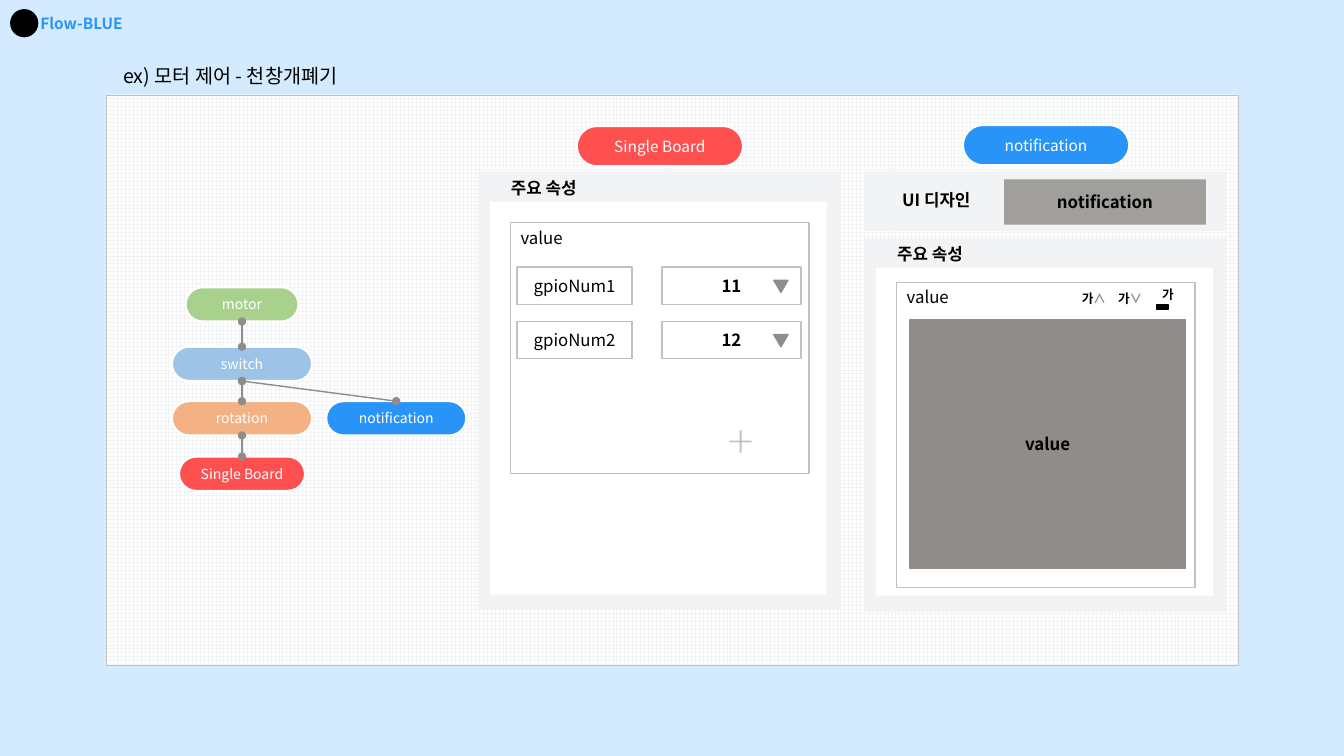
from lxml import etree
from pptx import Presentation
from pptx.dml.color import RGBColor
from pptx.enum.dml import MSO_PATTERN
from pptx.enum.shapes import MSO_CONNECTOR, MSO_SHAPE
from pptx.enum.text import MSO_ANCHOR, MSO_AUTO_SIZE, PP_ALIGN
from pptx.oxml.ns import qn
from pptx.util import Inches, Pt

RECT, PILL, OVAL = MSO_SHAPE.RECTANGLE, MSO_SHAPE.ROUNDED_RECTANGLE, MSO_SHAPE.OVAL
PLUS, TRIANGLE = MSO_SHAPE.CROSS, MSO_SHAPE.ISOSCELES_TRIANGLE
GRID = MSO_PATTERN.LARGE_GRID
STRAIGHT = MSO_CONNECTOR.STRAIGHT
LEFT, CENTER = PP_ALIGN.LEFT, PP_ALIGN.CENTER
TOP, MIDDLE = MSO_ANCHOR.TOP, MSO_ANCHOR.MIDDLE
NO_AUTOSIZE = MSO_AUTO_SIZE.NONE
BOTTOM_SITE, TOP_SITE = 2, 0

FONT = "Noto Sans CJK KR"
BLACK, WHITE, BLUE, RED = "000000", "FFFFFF", "2994F8", "FF5050"
PALE_BLUE, PANEL_GRAY, BORDER, GRAY = "D4EAFE", "F1F3F4", "C1C1C1", "8F8C8A"
LIGHT_GRAY = "A19F9C"
GREEN, SKY, ORANGE = "A9D18E", "9DC3E6", "F4B183"

# The slide is a grid of 1333 columns and 750 rows; boxes are (column, row, columns, rows)
CELL = Inches(0.01)
COLUMNS, ROWS = 1333, 750


def color(hex_string):
    return RGBColor.from_string(hex_string)


def on_slide(box):
    return [round(length * CELL) for length in box]


def inside(box, column, row, columns, rows):
    return box[0] + column, box[1] + row, columns, rows


def write(frame, text, size, ink=BLACK, bold=False, align=CENTER, anchor=MIDDLE, wrap=True):
    """Fill a text frame; text is a string or a list of (string, colour)."""
    frame.word_wrap = wrap
    frame.auto_size = NO_AUTOSIZE
    frame.vertical_anchor = anchor
    paragraph = frame.paragraphs[0]
    paragraph.alignment = align
    font = paragraph.font
    font.name, font.size, font.bold = FONT, Pt(size), bold
    font.color.rgb = color(ink)
    defaults = paragraph._p.pPr.find(qn("a:defRPr"))
    etree.SubElement(defaults, qn("a:ea")).set("typeface", FONT)
    for part, part_ink in [(text, None)] if isinstance(text, str) else text:
        run = paragraph.add_run()
        run.text = part
        if part_ink:
            run.font.color.rgb = color(part_ink)


def add_block(slide, box, fill, border=None, width=1, kind=RECT):
    block = slide.shapes.add_shape(kind, *on_slide(box))
    block.shadow.inherit = False
    block.fill.solid()
    block.fill.fore_color.rgb = color(fill)
    if border:
        block.line.color.rgb = color(border)
        block.line.width = Pt(width)
    else:
        block.line.fill.background()
    return block


def add_pill(slide, box, text, fill, size):
    pill = add_block(slide, box, fill, WHITE, 1.5, PILL)
    pill.adjustments[0] = 0.5
    write(pill.text_frame, text, size, WHITE)
    return pill


def add_label(slide, box, text, size=12, **style):
    label = slide.shapes.add_textbox(*on_slide(box))
    write(label.text_frame, text, size, **{"anchor": TOP, "bold": True, "wrap": False, **style})
    return label


def link(slide, upper, lower):
    """Join two pills with a line that ends in dots."""
    line = slide.shapes.add_connector(STRAIGHT, 0, 0, 0, 0)
    line.begin_connect(upper, BOTTOM_SITE)
    line.end_connect(lower, TOP_SITE)
    line.line.color.rgb = color(GRAY)
    line.line.width = Pt(1)
    outline = line.line._get_or_add_ln()
    for end in ("a:headEnd", "a:tailEnd"):
        etree.SubElement(outline, qn(end)).set("type", "oval")
    etree.SubElement(line._element.spPr, qn("a:effectLst"))


def build_header(slide, box):
    # Plain badge and product name
    add_block(slide, inside(box, 0, 0, 28, 28), BLACK, kind=OVAL)
    name = add_label(slide, inside(box, 30, 0, 120, 28), "Flow-BLUE", 11,
                     ink=BLUE, align=LEFT, anchor=MIDDLE)
    name.text_frame.margin_left = 0


def build_title(slide, box):
    title = slide.shapes.title
    title.left, title.top, title.width, title.height = on_slide(box)
    write(title.text_frame, "ex) 모터 제어 - 천창개폐기", 14,
          align=LEFT, anchor=TOP, wrap=False)


def build_canvas(slide, box):
    canvas = add_block(slide, box, WHITE, BORDER, 0.25)
    canvas.fill.patterned()
    canvas.fill.pattern = GRID
    canvas.fill.fore_color.rgb = color(PANEL_GRAY)
    canvas.fill.back_color.rgb = color(WHITE)


def build_flow(slide, box):
    # Nodes: text, fill, centre column, row, columns
    nodes = [("motor", GREEN, 70, 0, 112), ("switch", SKY, 70, 59, 139),
             ("rotation", ORANGE, 70, 113, 139), ("Single Board", RED, 70, 168, 125),
             ("notification", BLUE, 223, 113, 139)]
    motor, switch, rotation, board, notification = [
        add_pill(slide, inside(box, center - columns / 2, row, columns, 34), text, fill, 10)
        for text, fill, center, row, columns in nodes]
    for upper, lower in [(motor, switch), (switch, rotation),
                         (rotation, board), (switch, notification)]:
        link(slide, upper, lower)


def build_properties(slide, box, card_rows, frame_row, frame_rows):
    """Grey panel with its heading, white card and value frame; returns the frame's box."""
    add_block(slide, box, PANEL_GRAY)
    add_label(slide, inside(box, 23, 1, 93, 33), "주요 속성", align=LEFT)
    add_block(slide, inside(box, 12, 30, 334, card_rows), WHITE)
    frame_box = inside(box, 32.5, frame_row, 296, frame_rows)
    frame = add_block(slide, frame_box, WHITE, BORDER)
    write(frame.text_frame, "value", 12, align=LEFT, anchor=TOP)
    return frame_box


def build_board(slide, box):
    add_pill(slide, inside(box, 98, 0, 165, 40), "Single Board", RED, 11)
    frame = build_properties(slide, inside(box, 0, 45, 360, 435), 390, 51, 249)
    # One row for each pin
    for index, (pin, number) in enumerate([("gpioNum1", "11"), ("gpioNum2", "12")]):
        row = 44 + 54 * index
        pin_cell = add_block(slide, inside(frame, 6.5, row, 114, 37), WHITE, BORDER)
        write(pin_cell.text_frame, pin, 12)
        number_cell = add_block(slide, inside(frame, 150, row, 138, 37), WHITE, BORDER)
        write(number_cell.text_frame, number, 12, bold=True)
        arrow = add_block(slide, inside(frame, 261, row + 13, 14, 12), GRAY, GRAY, kind=TRIANGLE)
        arrow.rotation = 180
    plus = add_block(slide, inside(frame, 217, 206, 22, 22), BORDER, kind=PLUS)
    plus.adjustments[0] = 0.457


def build_notification(slide, box):
    add_pill(slide, inside(box, 98, 0, 165, 40), "notification", BLUE, 11)
    # Design strip
    add_block(slide, inside(box, 0, 46, 360, 59), PANEL_GRAY)
    add_label(slide, inside(box, 28, 59, 94, 33), "UI 디자인", align=LEFT)
    sample = add_block(slide, inside(box, 139, 54, 200, 45), LIGHT_GRAY)
    write(sample.text_frame, "notification", 12, bold=True)
    # Properties with the value preview
    frame = build_properties(slide, inside(box, 0, 112, 360, 371), 325, 44, 303)
    preview = add_block(slide, inside(frame, 13, 37, 273, 247), GRAY, GRAY)
    write(preview.text_frame, "value", 12, bold=True)
    # Text tools: larger, smaller, colour
    for index, mark in enumerate("∧∨"):
        add_label(slide, inside(frame, 172 + 36 * index, 4, 47, 25),
                  [("가", BLACK), (mark, GRAY)], 9)
    add_label(slide, inside(frame, 255, 0, 28, 25), "가", 9)
    add_block(slide, inside(frame, 258, 22, 11, 5), BLACK, BLACK)


def main():
    deck = Presentation()
    deck.slide_width, deck.slide_height = COLUMNS * CELL, ROWS * CELL
    slide = deck.slides.add_slide(deck.slide_layouts[5])
    slide.background.fill.solid()
    slide.background.fill.fore_color.rgb = color(PALE_BLUE)
    build_header(slide, (10, 9, 150, 28))
    build_title(slide, (112, 58, 258, 34))
    build_canvas(slide, (105, 94, 1123, 566))
    build_board(slide, (474, 125, 360, 480))
    build_notification(slide, (857, 124, 360, 483))
    build_flow(slide, (170, 285, 292, 202))
    deck.save("out.pptx")


if __name__ == "__main__":
    main()
